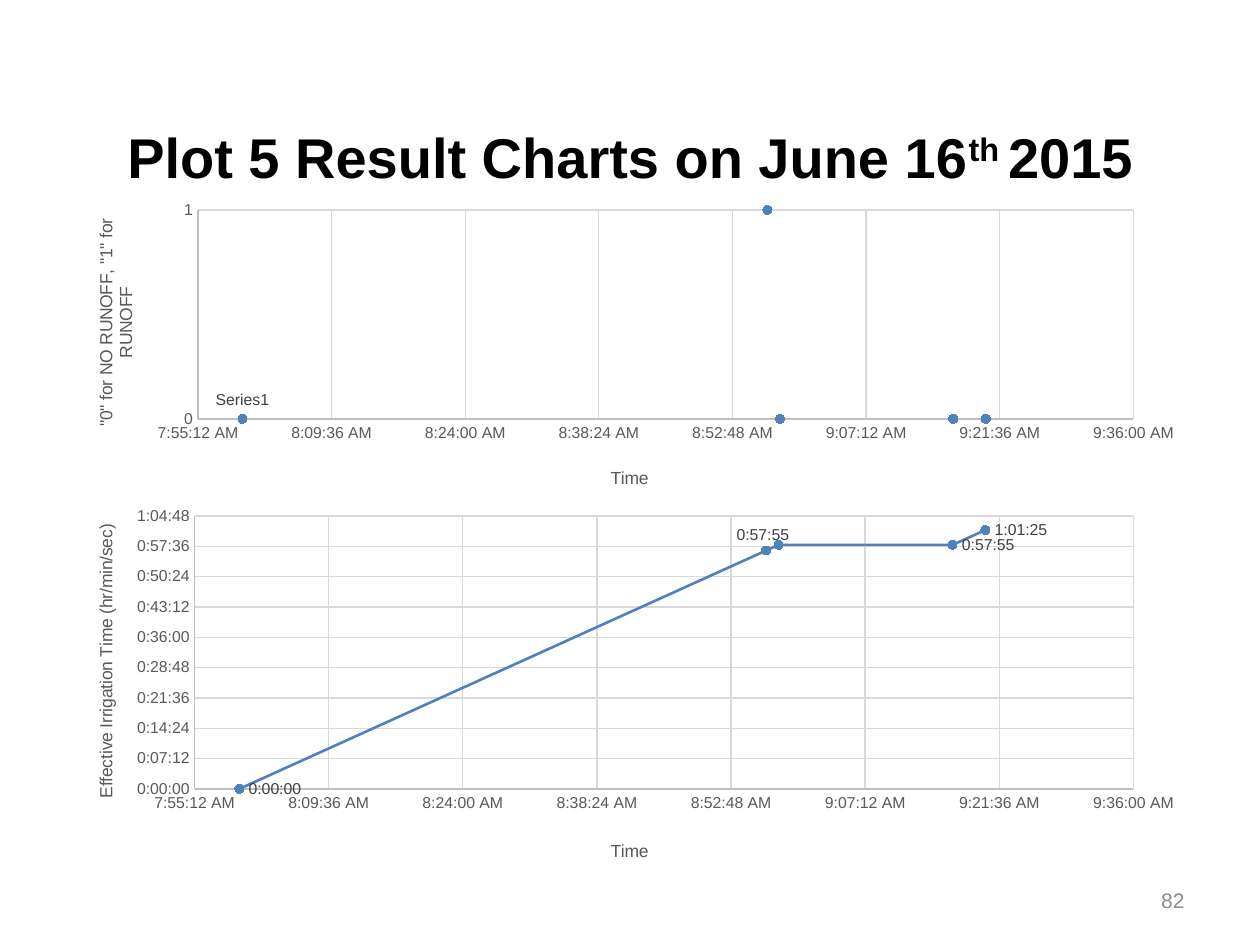
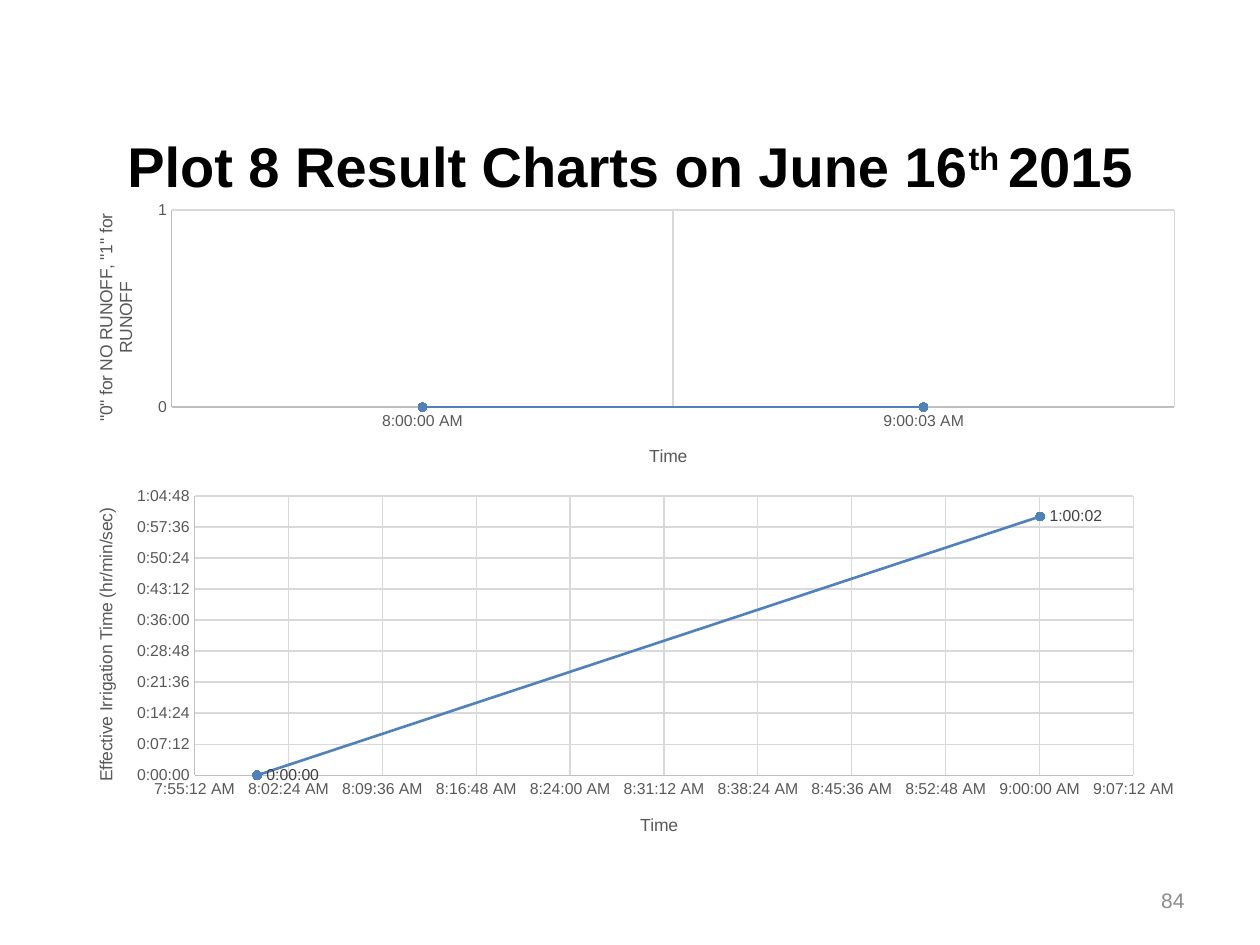
from lxml.etree import SubElement
from pptx import Presentation
from pptx.chart.data import CategoryChartData, XyChartData
from pptx.dml.color import RGBColor
from pptx.enum.chart import XL_CHART_TYPE, XL_LABEL_POSITION, XL_MARKER_STYLE, XL_TICK_MARK
from pptx.enum.text import MSO_ANCHOR, PP_ALIGN
from pptx.oxml import parse_xml
from pptx.oxml.ns import nsdecls, qn
from pptx.util import Cm, Pt

THEME = {
    "face": "Arial",
    "title": {"size": 32, "color": "000000", "bold": True},
    "page": {"size": 12, "color": "8C8C8C"},
    "axis": {"size": 10, "color": "595959", "bold": False},
    "tick": {"size": 9, "color": "595959"},
    "label": {"size": 9, "color": "404040"},
    "data": "4F81BD", "rule": "BFBFBF", "grid": "D9D9D9",
}
LEFT, WIDE = 1.27, 22.86
CLOCK, SPAN = "h:mm:ss AM/PM", "h:mm:ss;@"
FLOW = '"0" for NO RUNOFF, "1" for RUNOFF'
TIME = "Effective Irrigation Time (hr/min/sec)"
RIGHT, ABOVE = XL_LABEL_POSITION.RIGHT, XL_LABEL_POSITION.ABOVE
DOTS, PATH, LINE = (XL_CHART_TYPE.XY_SCATTER, XL_CHART_TYPE.XY_SCATTER_LINES,
                    XL_CHART_TYPE.LINE_MARKERS)

# Axis ranges are (low, high, step) in days; "plot", "xname" and "yname" are
# percentages of the chart's width and height.
RUN = {"yaxis": (0, 1, 1), "yform": "General", "yname": FLOW}
WATER = {"kind": PATH, "yaxis": (0, 0.045, 0.005), "yform": SPAN, "yname": TIME}
HOURS = ["8:00:00", "8:56:33", "8:56:33", "8:57:55", "9:16:35", "9:20:06"]
SPANS = ["0:00:00", "0:56:33", "0:56:33", "0:57:55", "0:57:55", "1:01:26"]
SLIDES = [
    {"plot": 5, "page": 82, "top": 2.03, "charts": [
        {**RUN, "kind": DOTS, "box": (3.94, 6.15), "x": HOURS, "y": [0, 1, 1, 0, 0, 0],
         "xaxis": (0.33, 0.4, 0.01), "area": (11.9, 4.8, 82.5, 68.5),
         "xspot": (48, 87.9), "yspot": (2.5, 6.5),
         "labels": {0: {"pos": ABOVE, "text": "Series1"}}},
        {**WATER, "box": (10.08, 7.47), "x": HOURS, "y": SPANS,
         "xaxis": (0.33, 0.4, 0.01), "area": (11.6, 4.3, 82.8, 73.7),
         "xspot": (48, 90.7), "yspot": (2.5, 5.7),
         "labels": {0: {"pos": RIGHT}, 3: {"pos": ABOVE, "shift": (-1.4, 2.4)},
                    4: {"pos": RIGHT}, 5: {"pos": RIGHT}}},
    ]},
    {"plot": 8, "page": 84, "top": 2.21, "charts": [
        {**RUN, "kind": LINE, "box": (3.94, 5.89), "x": ["8:00:00 AM", "9:00:03 AM"],
         "y": [0, 0], "area": (9.6, 5, 88.4, 67.5),
         "xspot": (51.4, 84.1), "yspot": (2.5, 5.2), "labels": {}},
        {**WATER, "box": (9.65, 7.62), "x": ["8:00:00", "9:00:03"],
         "y": ["0:00:00", "1:00:03"], "xaxis": (0.33, 0.38, 0.005),
         "area": (11.6, 4.6, 82.8, 73.9), "xspot": (50.6, 87.9), "yspot": (2.5, 6.9),
         "labels": {0: {"pos": RIGHT}, 1: {"pos": RIGHT}}},
    ]},
]


def days(value):
    """Turn "h:mm:ss" into a fraction of a day; pass numbers through."""
    if not isinstance(value, str):
        return value
    hour, mins, secs = map(int, value.split(":"))
    return round((hour * 3600 + mins * 60 + secs) / 86400, 6)


def style(font, role):
    form = THEME[role]
    values = {"name": THEME["face"], "size": Pt(form["size"]), "bold": form.get("bold", False)}
    for name, value in values.items():
        setattr(font, name, value)
    font.color.rgb = RGBColor.from_string(form["color"])


def stroke(line, color, width=0.75):
    line.color.rgb = RGBColor.from_string(THEME[color])
    line.width = Pt(width)


def place(parent, after, spot, mode="edge"):
    """Give a chart part a manual layout from percentages: x, y and maybe w, h."""
    for old in parent.findall(qn("c:layout")):
        parent.remove(old)
    layout = parse_xml(f"<c:layout {nsdecls('c')}/>")
    manual = SubElement(layout, qn("c:manualLayout"))
    parts = [("layoutTarget", "inner")] if len(spot) == 4 else []
    if mode == "edge":
        parts += [("xMode", "edge"), ("yMode", "edge")]
    parts += [(name, str(round(part / 100, 4))) for name, part in zip("xywh", spot)]
    for name, value in parts:
        SubElement(manual, qn("c:" + name)).set("val", value)
    if after is None:
        parent.insert(0, layout)
    else:
        after.addnext(layout)


def set_axis(axis, name, spot, form, scale):
    axis.has_major_gridlines = True
    axis.has_minor_gridlines = False
    axis.major_tick_mark = axis.minor_tick_mark = XL_TICK_MARK.NONE
    stroke(axis.format.line, "rule")
    stroke(axis.major_gridlines.format.line, "grid")
    style(axis.tick_labels.font, "tick")
    if scale:
        keys = ("minimum_scale", "maximum_scale", "major_unit")
        for key, value in zip(keys, scale):
            setattr(axis, key, value)
        axis.tick_labels.number_format = form
        axis.tick_labels.number_format_is_linked = False
    frame = axis.axis_title.text_frame
    frame.text = name
    style(frame.paragraphs[0].runs[0].font, "axis")
    title = axis.axis_title._element
    place(title, title.find(qn("c:tx")), spot)


def set_label(series, index, form):
    label = series.points[index].data_label
    if "text" in form:
        label.text_frame.text = form["text"]
        style(label.text_frame.paragraphs[0].runs[0].font, "label")
    else:
        style(label.font, "label")
    label.position = form["pos"]
    if "shift" in form:
        item = series._element.xpath(f"c:dLbls/c:dLbl[c:idx/@val='{index}']")[0]
        place(item, item.find(qn("c:idx")), form["shift"], "factor")


def set_series(series, kind, labels):
    series.smooth = False
    if kind == DOTS:
        series.format.line.fill.background()
    else:
        stroke(series.format.line, "data", 1.5)
    mark = series.marker
    mark.style, mark.size = XL_MARKER_STYLE.CIRCLE, 5
    mark.format.fill.solid()
    mark.format.fill.fore_color.rgb = RGBColor.from_string(THEME["data"])
    stroke(mark.format.line, "data")
    for index, form in labels.items():
        set_label(series, index, form)
    for flag in series._element.xpath("c:dLbls/c:showVal"):
        flag.set("val", "0")
    if kind == LINE:
        series._element.find(qn("c:cat")).addprevious(parse_xml(
            f'<c:trendline {nsdecls("c", "a")}><c:spPr><a:ln w="19050"><a:solidFill>'
            f'<a:srgbClr val="{THEME["data"]}"/></a:solidFill><a:prstDash val="sysDot"/>'
            '</a:ln></c:spPr><c:trendlineType val="linear"/><c:dispRSqr val="0"/>'
            '<c:dispEq val="0"/></c:trendline>'))


def add_plot(slide, item):
    if item["kind"] == LINE:
        data = CategoryChartData()
        data.categories = item["x"]
        data.add_series("Series 1", item["y"])
    else:
        data = XyChartData(number_format=item["yform"])
        series = data.add_series("Series 1")
        for x, y in zip(item["x"], item["y"]):
            series.add_data_point(days(x), days(y))
    top, high = item["box"]
    chart = slide.shapes.add_chart(
        item["kind"], Cm(LEFT), Cm(top), Cm(WIDE), Cm(high), data).chart
    chart.has_title = chart.has_legend = False
    chart.font.name, chart.font.size = THEME["face"], Pt(10)
    chart.plots[0].vary_by_categories = False
    set_axis(chart.category_axis, "Time", item["xspot"], CLOCK, item.get("xaxis"))
    set_axis(chart.value_axis, item["yname"], item["yspot"], item["yform"], item["yaxis"])
    set_series(chart.plots[0].series[0], item["kind"], item["labels"])
    place(chart._chartSpace.chart.plotArea, None, item["area"])


def add_text(box, pieces, role, align):
    """Fill a box with one paragraph of (text, raised) pieces."""
    frame = box.text_frame
    frame.word_wrap, frame.vertical_anchor = True, MSO_ANCHOR.MIDDLE
    para = frame.paragraphs[0]
    para.alignment = align
    for text, raised in pieces:
        run = para.add_run()
        run.text = text
        style(run.font, role)
        if raised:
            run.font._element.set("baseline", "30000")


def add_slide(deck, page):
    slide = deck.slides.add_slide(deck.slide_layouts[5])
    title = slide.shapes.title
    spots = {"left": LEFT, "top": page["top"], "width": WIDE, "height": 2.24}
    for name, value in spots.items():
        setattr(title, name, Cm(value))
    words = [(f"Plot {page['plot']} Result Charts on June 16", False),
             ("th ", True), ("2015", False)]
    add_text(title, words, "title", PP_ALIGN.CENTER)
    box = slide.shapes.add_textbox(Cm(18.2), Cm(17.65), Cm(5.93), Cm(1.01))
    add_text(box, [(str(page["page"]), False)], "page", PP_ALIGN.RIGHT)
    for item in page["charts"]:
        add_plot(slide, item)


def main():
    deck = Presentation()
    deck.slide_width, deck.slide_height = Cm(25.4), Cm(19.05)
    for page in SLIDES:
        add_slide(deck, page)
    deck.save("out.pptx")


if __name__ == "__main__":
    main()
